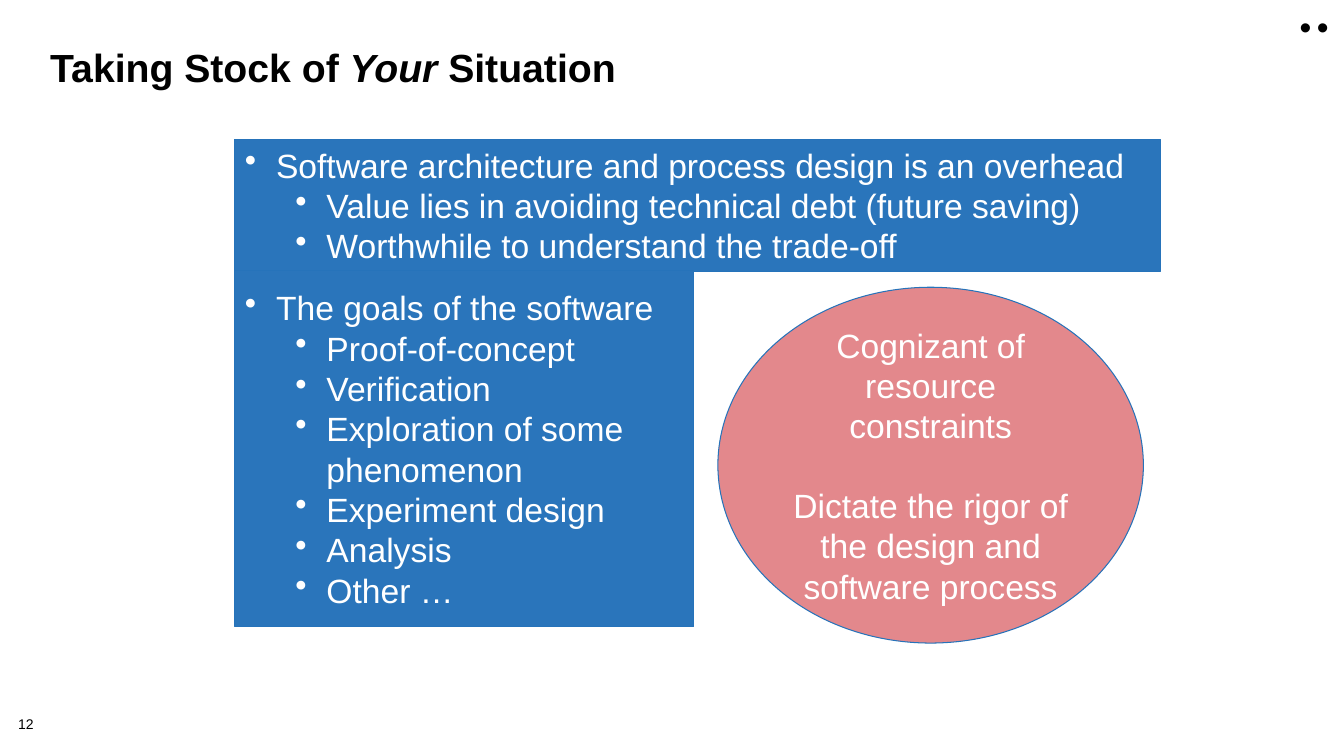
import dataclasses

import pptx
import pptx.dml.color
import pptx.enum.shapes
import pptx.enum.text
import pptx.util
from lxml import etree

Inches = pptx.util.Inches
Pt = pptx.util.Pt
Kind = pptx.enum.shapes.MSO_SHAPE
Align = pptx.enum.text.PP_ALIGN
Anchor = pptx.enum.text.MSO_ANCHOR


@dataclasses.dataclass(frozen=True)
class Theme:
    font: str = "Arial"
    ink: str = "000000"
    light: str = "FFFFFF"
    panel: str = "2A75BB"
    outline: str = "2673BA"
    accent: str = "E3888C"
    title_size: int = 28
    body_size: int = 24
    number_size: int = 10


THEME = Theme()


def rgb(value):
    return pptx.dml.color.RGBColor.from_string(value)


def add_bullet(paragraph, level):
    properties = paragraph._p.get_or_add_pPr()
    properties.set("marL", str(Inches(0.31 + 0.5 * level)))
    properties.set("indent", str(Inches(-0.31)))
    mark = etree.SubElement(properties, pptx.oxml.ns.qn("a:buChar"))
    mark.set("char", "•")
    paragraph.level = level


def write(paragraph, text, size=THEME.body_size, color=THEME.ink, bold=False,
          italic=False, align=Align.LEFT, spacing=None, before=0, level=None):
    if level is not None:
        add_bullet(paragraph, level)
    paragraph.alignment = align
    if spacing:
        paragraph.line_spacing = spacing
    if before:
        paragraph.space_before = Pt(before)
    run = paragraph.add_run()
    run.text = text
    font = run.font
    font.name, font.size = THEME.font, Pt(size)
    font.bold, font.italic = bold, italic
    font.color.rgb = rgb(color)


def add_frame(slide, box, margins=(0.1, 0.05), anchor=Anchor.TOP, wrap=True):
    frame = slide.shapes.add_textbox(*map(Inches, box)).text_frame
    frame.margin_left = frame.margin_right = Inches(margins[0])
    frame.margin_top = frame.margin_bottom = Inches(margins[1])
    frame.vertical_anchor = anchor
    frame.word_wrap = wrap
    return frame


def add_panel(slide, kind, box, fill):
    panel = slide.shapes.add_shape(kind, *map(Inches, box))
    panel.shadow.inherit = False
    panel.fill.solid()
    panel.fill.fore_color.rgb = rgb(fill)
    panel.line.color.rgb = rgb(THEME.outline)
    panel.line.width = Pt(0.75)
    panel.text_frame.word_wrap = True
    panel.text_frame.vertical_anchor = Anchor.MIDDLE
    return panel.text_frame


def next_paragraph(frame, index):
    return frame.add_paragraph() if index else frame.paragraphs[0]


def add_title(slide, box, pieces):
    heading = add_frame(slide, box).paragraphs[0]
    for text, italic in pieces:
        write(heading, text, size=THEME.title_size, bold=True, italic=italic,
              spacing=0.85)


def add_topic(slide, box, topic, points):
    frame = add_panel(slide, Kind.RECTANGLE, box, THEME.panel)
    for index, text in enumerate([topic, *points]):
        write(next_paragraph(frame, index), text, color=THEME.light,
              level=min(index, 1))


def add_constraints(slide, box, statements):
    frame = add_panel(slide, Kind.OVAL, box, THEME.accent)
    for index, text in enumerate(statements):
        write(next_paragraph(frame, index), text, color=THEME.light,
              align=Align.CENTER, before=28 * index)


def add_corner_dots(slide, box, step):
    left, top, width, height = box
    for index in range(2):
        frame = add_frame(slide, (left + step * index, top, width, height),
                          margins=(0.13, 0.1), anchor=Anchor.MIDDLE, wrap=False)
        write(frame.paragraphs[0], "•", spacing=0.9)


def add_page_number(slide, box, number):
    frame = add_frame(slide, box, margins=(0, 0))
    write(frame.paragraphs[0], number, size=THEME.number_size, spacing=0.9)


def main():
    deck = pptx.Presentation()
    deck.slide_width, deck.slide_height = Inches(13.33), Inches(7.5)
    slide = deck.slides.add_slide(deck.slide_layouts[6])

    add_page_number(slide, (0.18, 7.12, 0.56, 0.16), "12")
    add_title(slide, (0.4, 0.45, 12.44, 1),
              [("Taking Stock of ", False), ("Your", True), (" Situation", False)])
    add_topic(slide, (2.33, 1.38, 9.18, 1.31),
              "Software architecture and process design is an overhead",
              ["Value lies in avoiding technical debt (future saving)",
               "Worthwhile to understand the trade-off"])
    add_topic(slide, (2.33, 2.68, 4.55, 3.54),
              "The goals of the software",
              ["Proof-of-concept", "Verification", "Exploration of some phenomenon",
               "Experiment design", "Analysis", "Other …"])
    add_constraints(slide, (7.12, 2.85, 4.22, 3.53),
                    ["Cognizant of resource constraints",
                     "Dictate the rigor of the design and software process"])
    add_corner_dots(slide, (12.76, 0, 0.38, 0.57), 0.17)

    deck.save("out.pptx")


if __name__ == "__main__":
    main()
